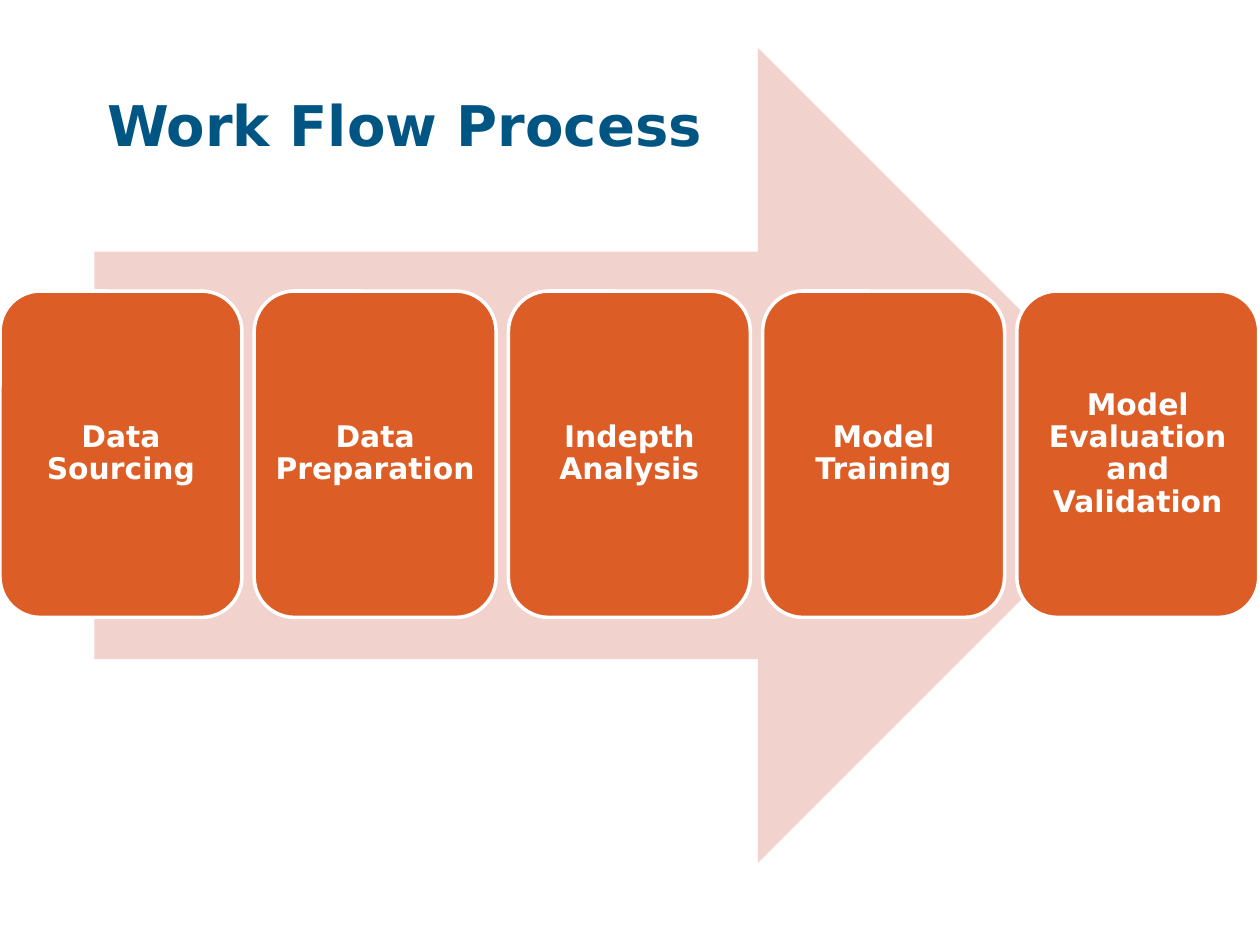
from pptx import Presentation
from pptx.dml.color import RGBColor
from pptx.enum.shapes import MSO_SHAPE as Shape
from pptx.enum.text import MSO_ANCHOR as Anchor, PP_ALIGN as Align
from pptx.util import Inches, Pt

WHITE = RGBColor(0xFF, 0xFF, 0xFF)
NAVY = RGBColor(0x00, 0x55, 0x82)
ORANGE = RGBColor(0xDC, 0x5D, 0x26)
PINK = RGBColor(0xF2, 0xD2, 0xCD)

STAGES = [
    "Data Sourcing",
    "Data Preparation",
    "Indepth Analysis",
    "Model Training",
    "Model Evaluation and Validation",
]
ROW_WIDTH, STAGE_WIDTH = 9.99, 1.92
STAGE_PITCH = (ROW_WIDTH - STAGE_WIDTH) / (len(STAGES) - 1)


class WorkflowSlide:
    """Hold the font style and the current slide, and draw its elements."""

    font_name = "DejaVu Sans"

    def __init__(self, slide):
        self.slide = slide

    def apply(self, target, formats):
        for name, value in formats.items():
            setattr(target, name, value)

    def label(self, frame, wording, size, color, frame_format, paragraph_format):
        frame.text = wording
        self.apply(frame, frame_format)
        paragraph = frame.paragraphs[0]
        self.apply(paragraph, paragraph_format)
        font = paragraph.runs[0].font
        self.apply(font, {"name": self.font_name, "size": Pt(size), "bold": True})
        font.color.rgb = color

    def title(self, wording, left, top, width, height):
        heading = self.slide.shapes.title
        self.apply(heading, {
            "left": Inches(left), "top": Inches(top),
            "width": Inches(width), "height": Inches(height),
        })
        self.label(heading.text_frame, wording, 32, NAVY,
                   {"vertical_anchor": Anchor.TOP}, {"alignment": Align.LEFT})

    def block(self, preset, fill, left, top, width, height):
        block = self.slide.shapes.add_shape(
            preset, Inches(left), Inches(top), Inches(width), Inches(height))
        block.shadow.inherit = False
        block.fill.solid()
        block.fill.fore_color.rgb = fill
        block.line.fill.background()
        return block

    def arrow(self, left, top, width, height):
        self.block(Shape.RIGHT_ARROW, PINK, left, top, width, height)

    def stage(self, wording, left, top, width, height):
        card = self.block(Shape.ROUNDED_RECTANGLE, ORANGE, left, top, width, height)
        card.line.color.rgb = WHITE
        card.line.width = Pt(2)
        sides = ("left", "top", "right", "bottom")
        frame_format = {f"margin_{side}": Inches(0.07) for side in sides}
        frame_format.update(vertical_anchor=Anchor.MIDDLE, word_wrap=True)
        self.label(card.text_frame, wording, 17, WHITE, frame_format,
                   {"alignment": Align.CENTER, "line_spacing": 0.9})


def main():
    deck = Presentation()
    deck.slide_width, deck.slide_height = Inches(10), Inches(7.5)
    workflow = WorkflowSlide(deck.slides.add_slide(deck.slide_layouts[5]))
    workflow.arrow(0.75, 0.38, 8.5, 6.47)
    for position, wording in enumerate(STAGES):
        workflow.stage(wording, position * STAGE_PITCH, 2.31, STAGE_WIDTH, 2.59)
    workflow.title("Work Flow Process", 0.75, 0.67, 8.5, 1.25)
    deck.save("out.pptx")


if __name__ == "__main__":
    main()
